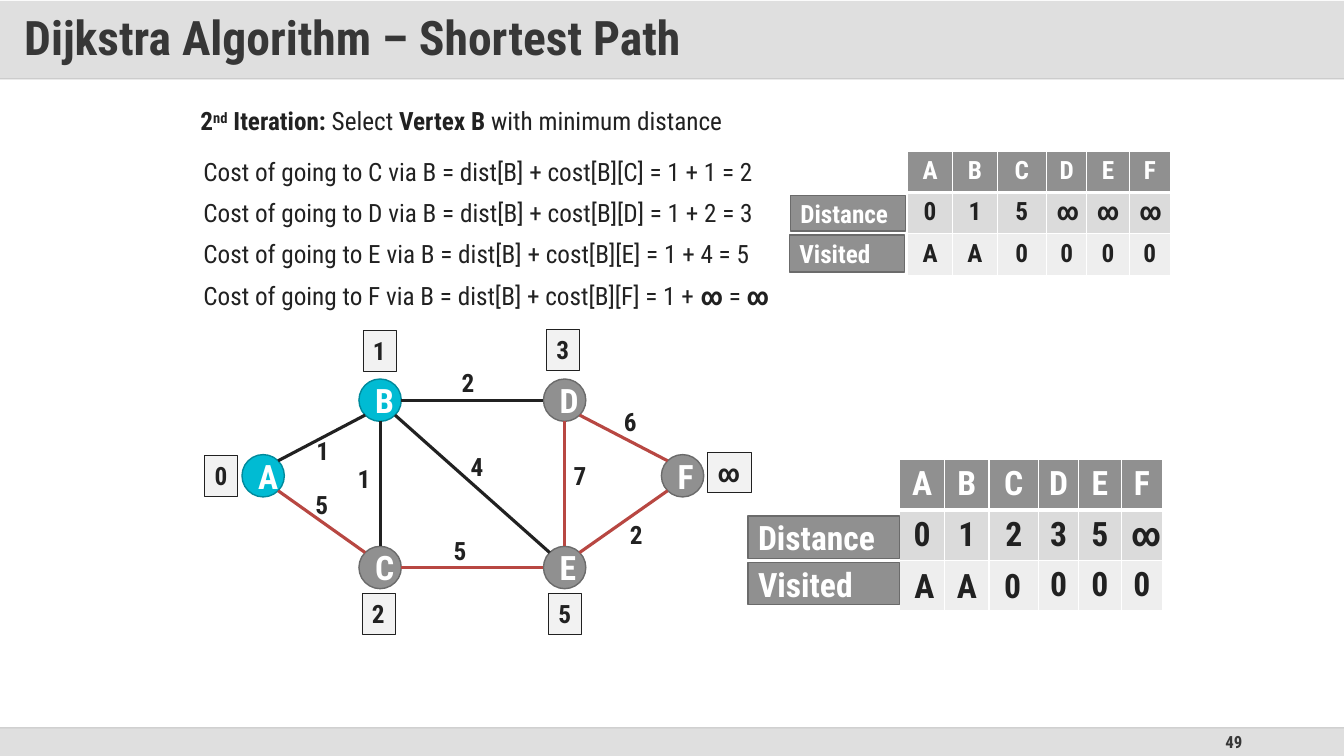
from math import sqrt
from typing import NamedTuple

from lxml.etree import SubElement
from pptx import Presentation
from pptx.dml.color import RGBColor
from pptx.enum.shapes import MSO_CONNECTOR, MSO_SHAPE
from pptx.enum.text import MSO_ANCHOR, MSO_AUTO_SIZE, PP_ALIGN
from pptx.oxml.ns import qn
from pptx.util import Inches, Pt

FONT = "Roboto Condensed"
INK, WHITE, TITLE = "212121", "FFFFFF", "373737"
GREY, RIM, BLUE, TEAL, RED = "909090", "6B6B6B", "00BBD3", "008A9C", "B84742"
PALE, BAR = "F2F2F2", "DFDFDF"
RADIUS = 0.21
WIDTHS = [0.45, 0.44, 0.49, 0.4, 0.42, 0.41]
FILLS = [GREY, "DBDBDB", "EEEEEE"]


class Span(NamedTuple):
    text: str
    bold: bool = False
    lift: int = 0


class Node(NamedTuple):
    x: float
    y: float
    fill: str = GREY
    rim: str = RIM


class Edge(NamedTuple):
    start: str
    end: str
    color: str = RED


class Label(NamedTuple):
    text: str
    x: float
    y: float
    w: float = 0.33
    h: float = 0.4
    size: int = 18


class Grid(NamedTuple):
    x: float
    y: float
    row: float
    size: int
    cells: list[str]


NODES = {
    "A": Node(2.61, 4.72, BLUE, TEAL), "B": Node(3.77, 3.97, BLUE, TEAL),
    "C": Node(3.77, 5.63), "D": Node(5.6, 3.97),
    "E": Node(5.6, 5.63), "F": Node(6.77, 4.72),
}
EDGES = [
    Edge("A", "B", INK), Edge("D", "F"), Edge("A", "C"), Edge("C", "E"), Edge("E", "F"),
    Edge("D", "E"), Edge("B", "C", INK), Edge("B", "D", INK), Edge("B", "E", INK),
]
COSTS = [
    Label("1", 3.04, 4.27), Label("1", 3.45, 4.55), Label("5", 3.03, 4.81),
    Label("2", 4.48, 3.59), Label("4", 4.57, 4.43), Label("7", 5.59, 4.52),
    Label("6", 6.09, 3.98), Label("2", 6.15, 5.1), Label("5", 4.4, 5.26, 0.4),
]
BOXES = [
    Label("0", 2.03, 4.52), Label("1", 3.6, 3.28), Label("2", 3.59, 5.89),
    Label("3", 5.42, 3.27), Label("5", 5.44, 5.89), Label("∞", 7.02, 4.49, 0.43),
]
MARKS = [
    Label("A", 8.97, 5.56, 0.4, 0.5, 24), Label("A", 9.39, 5.56, 0.4, 0.5, 24),
    Label("0", 9.86, 5.56, 0.37, 0.5, 24),
]
HEADS = [
    Label("Distance", 7.84, 1.94, 1.14, 0.35), Label("Visited", 7.83, 2.33, 1.14, 0.37),
    Label("Distance", 7.42, 5.12, 1.5, 0.42, 24), Label("Visited", 7.42, 5.58, 1.5, 0.42, 24),
]
GRIDS = [
    Grid(9, 1.5, 0.41, 18, ["ABCDEF", "015∞∞∞", "AA0000"]),
    Grid(8.92, 4.56, 0.5, 24, ["ABCDEF", "01235∞", "   000"]),
]
INTRO = [
    Span("2", True), Span("nd", True, 30), Span(" Iteration: ", True),
    Span("Select "), Span("Vertex B", True), Span(" with minimum distance"),
]
STEPS = [("C", "1", "2"), ("D", "2", "3"), ("E", "4", "5"), ("F", "∞", "∞")]

deck = Presentation()
deck.slide_width, deck.slide_height = Inches(13.33), Inches(7.5)
slide = deck.slides.add_slide(deck.slide_layouts[6])
shapes = slide.shapes


def paint(color: str) -> RGBColor:
    return RGBColor.from_string(color)


def fade(item, share: int) -> None:
    for tint in item._element.spPr.iter(qn("a:srgbClr")):
        SubElement(tint, qn("a:alpha")).set("val", str(share * 1000))


def style(run, size: int, color: str, bold: bool = True) -> None:
    font = run.font
    font.name, font.size, font.bold = FONT, Pt(size), bold
    font.color.rgb = paint(color)


def write(frame, text: str, size: int = 18, color: str = INK, align=PP_ALIGN.LEFT) -> None:
    frame.text = text
    line = frame.paragraphs[0]
    line.alignment = align
    for run in line.runs:
        style(run, size, color)


def blend(frame, spans: list[Span]) -> None:
    for span in spans:
        run = frame.paragraphs[0].add_run()
        run.text = span.text
        style(run, 18, INK, span.bold)
        if span.lift:
            run._r.get_or_add_rPr().set("baseline", str(span.lift * 1000))


def shape(kind, x: float, y: float, w: float, h: float, fill: str, rim: str = "", width: float = 1):
    item = shapes.add_shape(kind, Inches(x), Inches(y), Inches(w), Inches(h))
    item.shadow.inherit = False
    item.fill.solid()
    item.fill.fore_color.rgb = paint(fill)
    if rim:
        item.line.color.rgb, item.line.width = paint(rim), Pt(width)
    else:
        item.line.fill.background()
    return item


def fit(item):
    frame = item.text_frame
    frame.word_wrap, frame.auto_size = False, MSO_AUTO_SIZE.SHAPE_TO_FIT_TEXT
    frame.vertical_anchor = MSO_ANCHOR.TOP
    return frame


def note(x: float, y: float, w: float, h: float = 0.4):
    return fit(shapes.add_textbox(Inches(x), Inches(y), Inches(w), Inches(h)))


def line(x1: float, y1: float, x2: float, y2: float, color: str, width: float):
    item = shapes.add_connector(MSO_CONNECTOR.STRAIGHT, Inches(x1), Inches(y1), Inches(x2), Inches(y2))
    item.line.color.rgb, item.line.width = paint(color), Pt(width)
    SubElement(item._element.spPr, qn("a:effectLst"))
    return item


def join(edge: Edge) -> None:
    a, b = NODES[edge.start], NODES[edge.end]
    dx, dy = (b.x > a.x) - (b.x < a.x), (b.y > a.y) - (b.y < a.y)
    reach = RADIUS / sqrt(dx * dx + dy * dy)
    line(a.x + dx * reach, a.y + dy * reach, b.x - dx * reach, b.y - dy * reach, edge.color, 2.25)


def border(cell, row: int) -> None:
    props = cell._tc.get_or_add_tcPr()
    for side in "LRTB":
        thick = (row, side) in [(0, "B"), (1, "T")]
        edge = SubElement(props, qn("a:ln" + side), w=str(Pt(3 if thick else 1)))
        SubElement(SubElement(edge, qn("a:solidFill")), qn("a:srgbClr"), val=WHITE)


def table(grid: Grid) -> None:
    size = len(grid.cells), len(WIDTHS)
    item = shapes.add_table(*size, Inches(grid.x), Inches(grid.y), Inches(sum(WIDTHS)), Inches(grid.row * size[0])).table
    item.first_row = item.horz_banding = False
    for col, width in zip(item.columns, WIDTHS):
        col.width = Inches(width)
    for r, texts in enumerate(grid.cells):
        item.rows[r].height = Inches(grid.row)
        for c, text in enumerate(texts):
            cell = item.cell(r, c)
            border(cell, r)
            cell.fill.solid()
            cell.fill.fore_color.rgb = paint(FILLS[r])
            write(cell.text_frame, text.strip(), grid.size, INK if r else WHITE, PP_ALIGN.CENTER)


shape(MSO_SHAPE.RECTANGLE, 0, 7.22, 13.33, 0.28, BAR)
page = shapes.add_textbox(Inches(9.42), Inches(7.22), Inches(3), Inches(0.28)).text_frame
page.word_wrap, page.vertical_anchor = True, MSO_ANCHOR.MIDDLE
write(page, "49", 12, TITLE, PP_ALIGN.RIGHT)
line(0, 0.78, 13.33, 0.78, "D9D9D9", 1)
fade(line(0, 7.22, 13.33, 7.22, "BFBFBF", 1), 70)
head = shape(MSO_SHAPE.RECTANGLE, 0, 0.01, 13.33, 0.78, "C0C0C0")
fade(head, 50)
frame = head.text_frame
frame.margin_left = frame.margin_right = Inches(0.24)
frame.margin_top = frame.margin_bottom = Inches(0.12)
write(frame, "Dijkstra Algorithm – Shortest Path", 34, TITLE)
frame.paragraphs[0].line_spacing = 0.9

for name, node in NODES.items():
    disc = shape(MSO_SHAPE.OVAL, node.x - RADIUS, node.y - RADIUS, 2 * RADIUS, 2 * RADIUS, node.fill, node.rim)
    write(disc.text_frame, name, 24, WHITE, PP_ALIGN.CENTER)
for edge in EDGES:
    join(edge)
for cost in COSTS:
    write(note(*cost[1:5]), cost.text)
for box in BOXES:
    write(fit(shape(MSO_SHAPE.RECTANGLE, *box[1:5], PALE, INK, 0.5)), box.text)

blend(note(1.89, 1, 5.46), INTRO)
for i, (goal, cost, total) in enumerate(STEPS):
    bold = cost == "∞"
    lead = f"Cost of going to {goal} via B = dist[B] + cost[B][{goal}] = 1 + "
    step = [Span(lead), Span(cost, bold), Span(" = "), Span(total, bold)]
    blend(note(1.92, 1.5 + 0.41 * i, 5.93 if bold else 5.8), step)

for grid in GRIDS:
    table(grid)
for tag in HEADS:
    write(shape(MSO_SHAPE.RECTANGLE, *tag[1:5], GREY, RIM).text_frame, tag.text, tag.size, WHITE)
for mark in MARKS:
    write(note(*mark[1:5]), mark.text, mark.size, INK, PP_ALIGN.CENTER)

deck.save("out.pptx")
